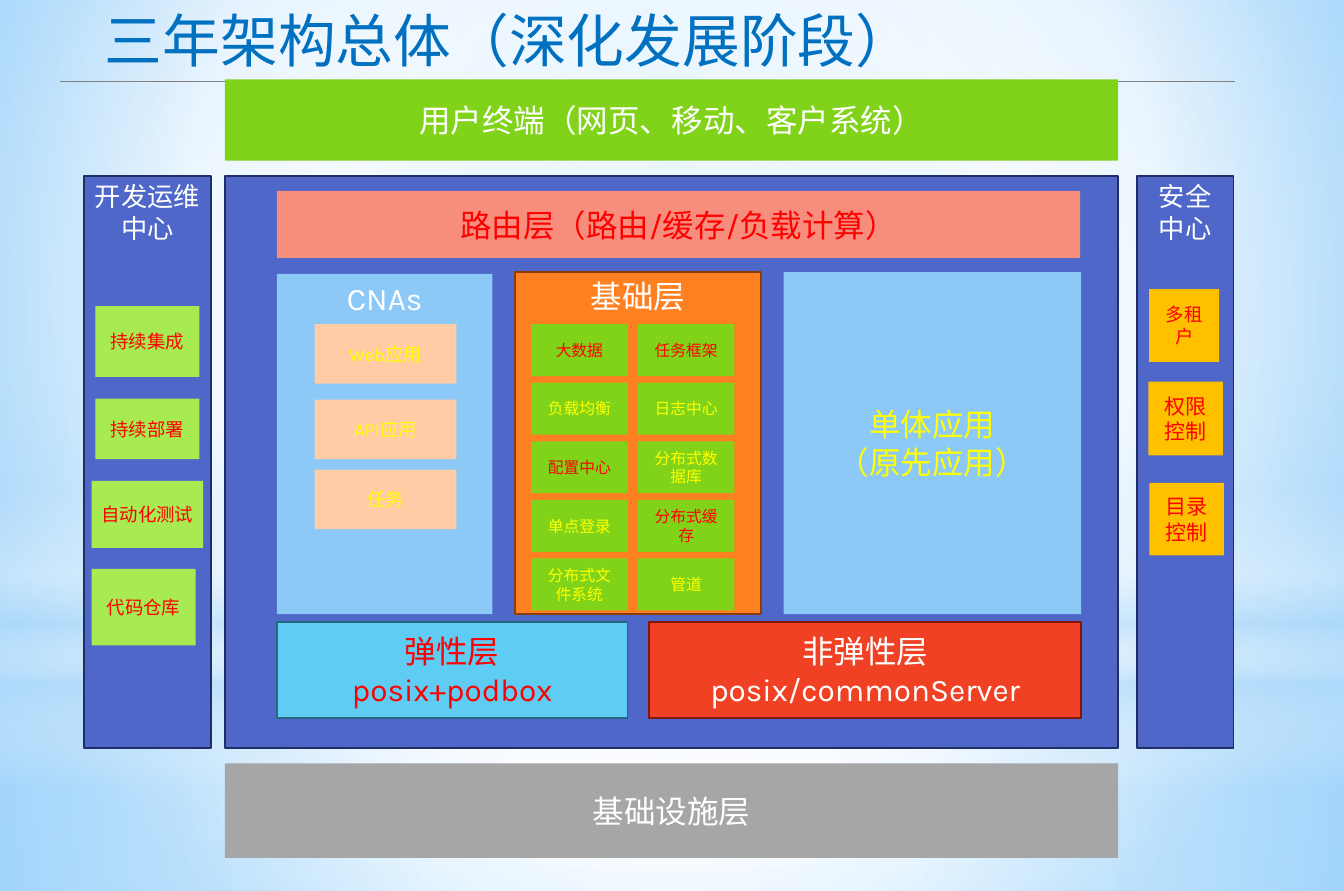
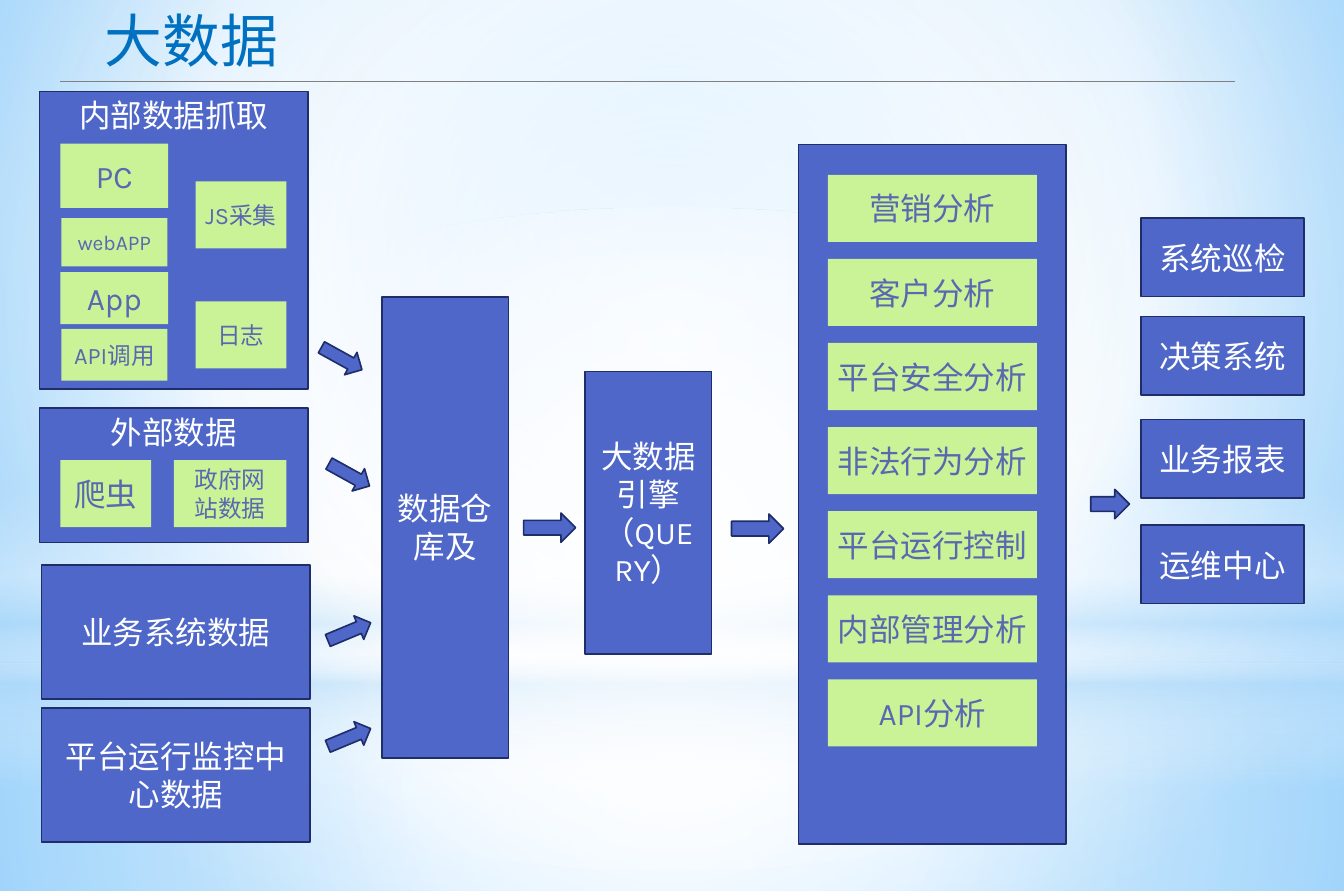
from lxml.etree import SubElement
from pptx import Presentation
from pptx.dml.color import RGBColor
from pptx.enum.shapes import MSO_CONNECTOR, MSO_SHAPE
from pptx.enum.text import MSO_ANCHOR, PP_ALIGN
from pptx.oxml import parse_xml
from pptx.oxml.ns import nsdecls, qn
from pptx.util import Inches, Pt

WHITE = RGBColor(0xFF, 0xFF, 0xFF)
RED = RGBColor(0xFF, 0x00, 0x00)
YELLOW = RGBColor(0xFF, 0xFF, 0x00)
TITLE_BLUE = RGBColor(0x00, 0x70, 0xC0)
RULE_GRAY = RGBColor(0x80, 0x80, 0x80)
INDIGO = RGBColor(0x4E, 0x67, 0xC8)
NAVY = RGBColor(0x1F, 0x2E, 0x69)
SKY = RGBColor(0x8C, 0xC9, 0xF7)
CYAN = RGBColor(0x5E, 0xCC, 0xF3)
TEAL = RGBColor(0x25, 0x68, 0x80)
SCARLET = RGBColor(0xF1, 0x41, 0x24)
MAROON = RGBColor(0x82, 0x17, 0x05)
ORANGE = RGBColor(0xFF, 0x80, 0x21)
BROWN = RGBColor(0x8B, 0x3D, 0x02)
SALMON = RGBColor(0xF7, 0x8D, 0x7C)
PEACH = RGBColor(0xFF, 0xCC, 0xA6)
GREEN = RGBColor(0x81, 0xD3, 0x1A)
LIME = RGBColor(0xA7, 0xEA, 0x52)
PALE_LIME = RGBColor(0xCA, 0xF2, 0x97)
SLATE = RGBColor(0x59, 0x68, 0xB0)
AMBER = RGBColor(0xFF, 0xC0, 0x00)
GRAY = RGBColor(0xA6, 0xA6, 0xA6)

CJK_FONT = "Noto Sans CJK SC"
BODY_FONT = "Karla"
RECT, ARROW = MSO_SHAPE.RECTANGLE, MSO_SHAPE.RIGHT_ARROW
TOP, MIDDLE = MSO_ANCHOR.TOP, MSO_ANCHOR.MIDDLE


def gradient(stops, focus=None):
    """Gradient XML from (position %, colour, opacity %) stops; circular with a focus, else vertical."""
    stop_xml = "".join(
        f'<a:gs pos="{pos * 1000}"><a:srgbClr val="{colour}">'
        f'<a:alpha val="{opacity * 1000}"/></a:srgbClr></a:gs>'
        for pos, colour, opacity in stops)
    shade = '<a:lin ang="5400000" scaled="0"/>'
    if focus:
        sides = " ".join(f'{side}="{value * 1000}"' for side, value in zip("ltrb", focus))
        shade = f'<a:path path="circle"><a:fillToRect {sides}/></a:path>'
    return (f'<a:gradFill {nsdecls("a")} rotWithShape="1">'
            f'<a:gsLst>{stop_xml}</a:gsLst>{shade}</a:gradFill>')


def box(slide, text, at, fill, size=24, colour=WHITE, edge=None, anchor=MIDDLE, outline=RECT):
    shape = slide.shapes.add_shape(outline, *map(Inches, at))
    shape.shadow.inherit = False
    shape.fill.solid()
    shape.fill.fore_color.rgb = fill
    if edge is None:
        shape.line.fill.background()
    else:
        shape.line.color.rgb = edge
        shape.line.width = Pt(1.25)
    if text:
        frame = shape.text_frame
        frame.word_wrap = True
        frame.vertical_anchor = anchor
        frame.text = text
        for paragraph in frame.paragraphs:
            paragraph.alignment = PP_ALIGN.CENTER
            for run in paragraph.runs:
                run.font.size = Pt(size)
                run.font.color.rgb = colour
                run.font.name = BODY_FONT
                SubElement(run.font._element, qn("a:ea"), typeface=CJK_FONT)
    return shape


prs = Presentation()
prs.slide_width, prs.slide_height = Inches(14.22), Inches(9.43)
blank = prs.slide_layouts[6]
architecture = prs.slides.add_slide(blank)
big_data = prs.slides.add_slide(blank)

# Shared backdrop and title rule, kept on the layout
sky = gradient([(0, "9ED5FF", 100), (60, "FFFFFF", 100), (100, "5BB9FF", 100)], (20, 10, 20, 60))
blank._element.cSld.insert(0, parse_xml(
    f'<p:bg {nsdecls("p", "a")}><p:bgPr>{sky}<a:effectLst/></p:bgPr></p:bg>'))

CENTER = (50, 50, 50, 50)
glows = [
    (RECT, (0, 7.02, 14.22, 2.41), CENTER,
     [(0, "FFFFFF", 91), (37, "FFFFFF", 76), (100, "B4DCFA", 79)]),
    (RECT, (0, 0, 14.22, 7.02), CENTER,
     [(0, "FFFFFF", 89), (48, "FFFFFF", 62), (100, "B4DCFA", 79)]),
    (RECT, (0, 5.18, 14.22, 3.14), None,
     [(0, "FFFFFF", 0), (29, "FFFFFF", 30), (45, "B4DCFA", 40),
      (55, "FFFFFF", 26), (65, "B4DCFA", 60), (100, "FFFFFF", 0)]),
    (MSO_SHAPE.OVAL, (0, 2.2, 14.22, 7.02), CENTER,
     [(0, "FFFFFF", 100), (56, "FFFFFF", 0)]),
]
backdrop = []
for outline, at, focus, stops in glows:
    glow = architecture.shapes.add_shape(outline, *map(Inches, at))
    glow._element.spPr.append(parse_xml(gradient(stops, focus)))
    glow.line.fill.background()
    glow.shadow.inherit = False
    backdrop.append(glow)
title_rule = architecture.shapes.add_connector(
    MSO_CONNECTOR.STRAIGHT, Inches(0.64), Inches(0.86), Inches(13.07), Inches(0.86))
title_rule.line.color.rgb = RULE_GRAY
title_rule.line.width = Pt(0.75)
SubElement(title_rule._element.spPr, qn("a:effectLst"))
for part in backdrop + [title_rule]:
    blank.shapes._spTree.append(part._element)

# Titles
for slide, heading in ((architecture, "三年架构总体（深化发展阶段）"), (big_data, "大数据")):
    title = slide.shapes.add_textbox(Inches(0.97), Inches(-0.02), Inches(9.53), Inches(0.88))
    frame = title.text_frame
    frame.word_wrap = True
    frame.margin_left = frame.margin_right = Inches(0.14)
    frame.margin_top = frame.margin_bottom = Inches(0.07)
    frame.text = heading
    run = frame.paragraphs[0].runs[0]
    run.font.size = Pt(44)
    run.font.color.rgb = TITLE_BLUE
    run.font.name = CJK_FONT
    SubElement(run.font._element, qn("a:ea"), typeface=CJK_FONT)

# Slide 1: layers of the architecture
layers = [
    ("", (2.38, 1.86, 9.45, 6.06), INDIGO, WHITE, NAVY, MIDDLE),
    ("基础设施层", (2.38, 8.08, 9.45, 1), GRAY, WHITE, None, MIDDLE),
    ("弹性层\nposix+podbox", (2.93, 6.58, 3.71, 1.02), CYAN, RED, TEAL, MIDDLE),
    ("非弹性层\nposix/commonServer", (6.87, 6.58, 4.57, 1.02), SCARLET, WHITE, MAROON, MIDDLE),
    ("基础层", (5.45, 2.88, 2.6, 3.62), ORANGE, WHITE, BROWN, TOP),
    ("CNAs", (2.93, 2.9, 2.28, 3.6), SKY, WHITE, None, TOP),
    ("单体应用\n（原先应用）", (8.29, 2.88, 3.15, 3.62), SKY, YELLOW, None, MIDDLE),
    ("路由层（路由/缓存/负载计算）", (2.93, 2.02, 8.5, 0.71), SALMON, RED, None, MIDDLE),
    ("用户终端（网页、移动、客户系统）", (2.38, 0.84, 9.45, 0.86), GREEN, WHITE, None, MIDDLE),
]
for text, at, fill, colour, edge, anchor in layers:
    box(architecture, text, at, fill, 24, colour, edge, anchor)

for text, left, width in (("开发运维中心", 0.89, 1.34), ("安全中心", 12.03, 1.02)):
    box(architecture, text, (left, 1.86, width, 6.06), INDIGO, 20, WHITE, NAVY, TOP)

base_services = [
    (("大数据", RED), ("任务框架", RED)),
    (("负载均衡", YELLOW), ("日志中心", YELLOW)),
    (("配置中心", RED), ("分布式数据库", YELLOW)),
    (("单点登录", YELLOW), ("分布式缓存", RED)),
    (("分布式文件系统", YELLOW), ("管道", YELLOW)),
]
for row, services in enumerate(base_services):
    for column, (text, colour) in enumerate(services):
        at = (5.62 + 1.13 * column, 3.43 + 0.62 * row, 1.02, 0.55)
        box(architecture, text, at, GREEN, 12, colour)

for text, top in (("Web应用", 3.43), ("API应用", 4.23), ("任务", 4.97)):
    box(architecture, text, (3.33, top, 1.5, 0.63), PEACH, 14, YELLOW)

devops_tools = [
    ("持续集成", (1.01, 3.24, 1.1, 0.75)),
    ("持续部署", (1.01, 4.22, 1.1, 0.64)),
    ("自动化测试", (0.97, 5.09, 1.18, 0.71)),
    ("代码仓库", (0.97, 6.02, 1.1, 0.81)),
]
for text, at in devops_tools:
    box(architecture, text, at, LIME, 14, RED)

security_controls = [
    ("多租户", (12.16, 3.06, 0.74, 0.77), 14),
    ("权限控制", (12.15, 4.04, 0.79, 0.78), 16),
    ("目录控制", (12.16, 5.11, 0.79, 0.77), 16),
]
for text, at, size in security_controls:
    box(architecture, text, at, AMBER, size, RED)

# Slide 2: flow from data sources to applications
stages = [
    ("内部数据抓取", (0.42, 0.97, 2.84, 3.15), TOP),
    ("外部数据", (0.42, 4.32, 2.84, 1.42), TOP),
    ("业务系统数据", (0.44, 5.98, 2.84, 1.42), MIDDLE),
    ("平台运行监控中心数据", (0.44, 7.49, 2.84, 1.42), MIDDLE),
    ("数据仓库及", (4.04, 3.14, 1.34, 4.88), MIDDLE),
    ("大数据引擎（QUERY）", (6.19, 3.93, 1.34, 2.99), MIDDLE),
    ("", (8.45, 1.53, 2.83, 7.4), MIDDLE),
]
applications = (("系统巡检", 2.31), ("决策系统", 3.35), ("业务报表", 4.44), ("运维中心", 5.56))
stages += [(text, (12.07, top, 1.73, 0.83), MIDDLE) for text, top in applications]
for text, at, anchor in stages:
    box(big_data, text, at, INDIGO, edge=NAVY, anchor=anchor)

sources = [
    ("PC", (0.64, 1.52, 1.14, 0.68), 24),
    ("webAPP", (0.65, 2.31, 1.12, 0.51), 16),
    ("App", (0.64, 2.88, 1.14, 0.55), 24),
    ("API调用", (0.65, 3.48, 1.12, 0.55), 18),
    ("JS采集", (2.07, 1.92, 0.96, 0.71), 18),
    ("日志", (2.07, 3.19, 0.96, 0.71), 18),
    ("爬虫", (0.64, 4.87, 0.96, 0.71), 24),
    ("政府网站数据", (1.84, 4.87, 1.19, 0.71), 18),
]
for text, at, size in sources:
    box(big_data, text, at, PALE_LIME, size, SLATE)

analyses = ("营销分析", "客户分析", "平台安全分析", "非法行为分析",
            "平台运行控制", "内部管理分析", "API分析")
for row, text in enumerate(analyses):
    box(big_data, text, (8.76, 1.85 + 0.89 * row, 2.21, 0.71), PALE_LIME, 24, SLATE)

flows = [
    ((3.37, 3.66, 0.49, 0.27), 28.9),
    ((3.45, 4.89, 0.49, 0.27), 28.9),
    ((3.45, 6.55, 0.49, 0.27), 337.4),
    ((3.45, 7.67, 0.49, 0.27), 337.4),
    ((5.54, 5.43, 0.55, 0.31), 0),
    ((7.74, 5.44, 0.55, 0.31), 0),
    ((11.54, 5.18, 0.41, 0.31), 0),
]
for at, angle in flows:
    box(big_data, "", at, INDIGO, edge=NAVY, outline=ARROW).rotation = angle

prs.save("out.pptx")
